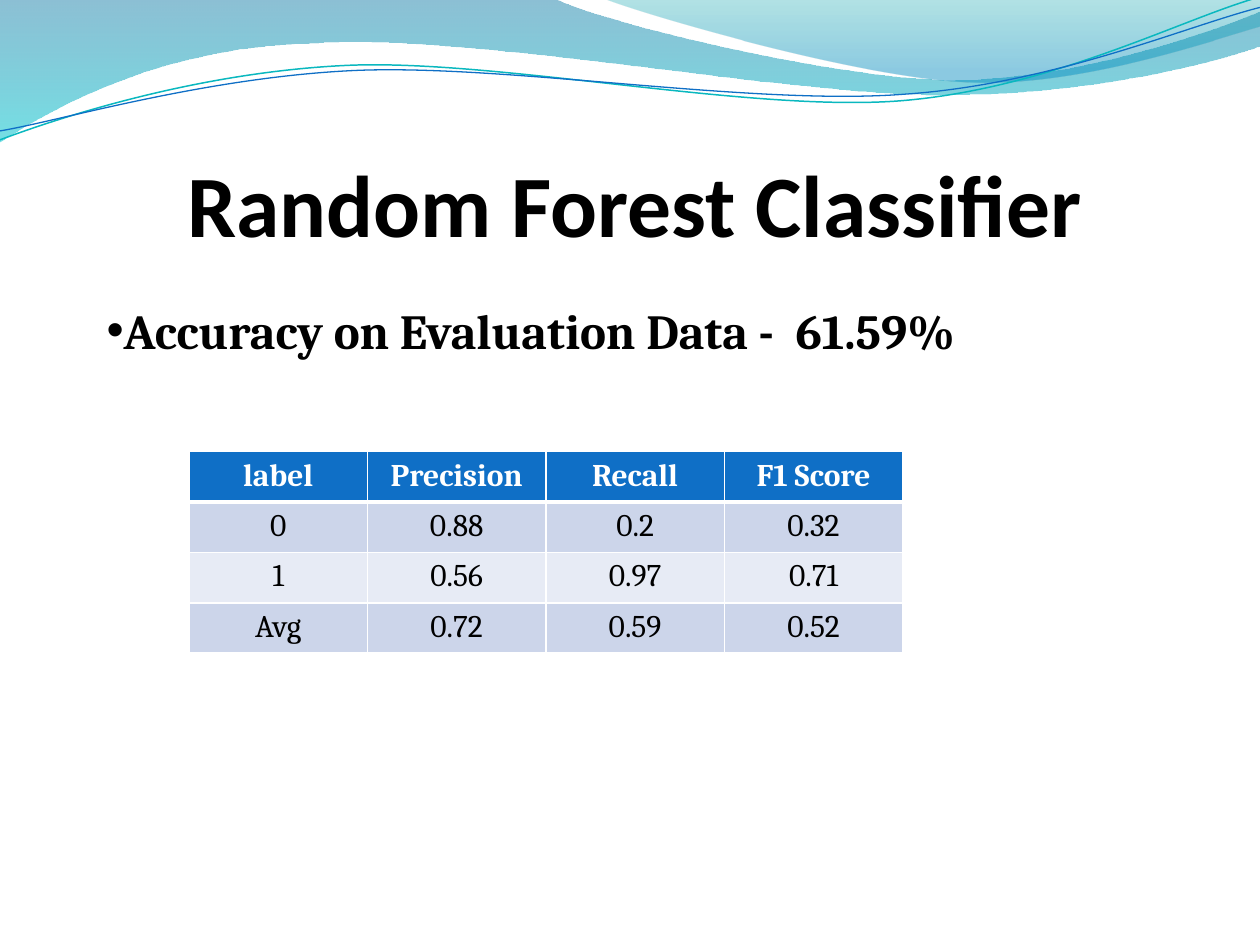
from itertools import chain, islice

from lxml.etree import Element, SubElement
from pptx import Presentation
from pptx.dml.color import RGBColor
from pptx.enum.text import MSO_ANCHOR, MSO_AUTO_SIZE, PP_ALIGN
from pptx.oxml import parse_xml
from pptx.oxml.ns import nsdecls, qn
from pptx.util import Cm, Pt

WHITE = RGBColor(0xFF, 0xFF, 0xFF)
BLACK = RGBColor(0x00, 0x00, 0x00)
BLUE = RGBColor(0x0F, 0x6F, 0xC6)
TEAL = RGBColor(0x0A, 0xB8, 0xBF)
DEEP_BLUE = RGBColor(0x00, 0x74, 0xA1)
CYAN = RGBColor(0x00, 0xC6, 0xCF)
SEA_GREEN = RGBColor(0x00, 0xA1, 0xA9)
SKY_BLUE = RGBColor(0x00, 0x8B, 0xBF)
DARK_BAND = RGBColor(0xCC, 0xD5, 0xEA)
LIGHT_BAND = RGBColor(0xE7, 0xEB, 0xF5)

CURVE_ROTATION = 357.3
WIDE_WAVE = [
    [(0, 0)], [(11.18, -0.03)],
    [(12.09, 0.43), (16.87, 1.6), (19.25, 1.6)],
    [(21.67, 1.6), (24.33, 0.66), (25.4, 0.23)],
    [(25.43, 0.91)],
    [(24.97, 1.12), (22.1, 1.93), (18.95, 1.91)],
    [(15.8, 1.91), (9.7, 0.71), (6.53, 0.86)],
    [(3.28, 0.91), (1.17, 2.11), (-0.03, 2.87)],
    [(0, 0)],
]
RIGHT_WAVE = [
    [(12.17, -0.03)],
    [(12.93, 0.28), (17.32, 1.57), (19.53, 1.65)],
    [(21.74, 1.75), (24.41, 0.81), (25.4, 0.53)],
    [(25.4, 0)], [(12.17, -0.03)],
]
TEAL_CURVE = [
    [(-0.05, 2.22)],
    [(1.19, 1.82), (4.02, 1.04), (7.05, 1.05)],
    [(10.05, 1.07), (15.02, 2.37), (18.08, 2.29)],
    [(21.13, 2.2), (23.86, 0.91), (25.41, 0.55)],
]
BLUE_CURVE = [
    [(-0.04, 2.04)],
    [(1.16, 1.9), (4.17, 1.15), (7.2, 1.16)],
    [(10.25, 1.18), (15.13, 2.25), (18.19, 2.16)],
    [(21.21, 2.1), (23.93, 1.06), (25.45, 0.75)],
]
SCORES = [
    ["label", "Precision", "Recall", "F1 Score"],
    ["0", "0.88", "0.2", "0.32"],
    ["1", "0.56", "0.97", "0.71"],
    ["Avg", "0.72", "0.59", "0.52"],
]


def add_outline(page, left, top, segments, close):
    """Add a freeform of straight and cubic segments, in centimetres from left and top."""
    points = [(left + Cm(x), top + Cm(y)) for x, y in chain(*segments)]
    builder = page.shapes.build_freeform(*points[0])
    builder.add_line_segments(points[1:], close=close)
    shape = builder.convert_to_shape()
    shape.shadow.inherit = False
    steps = iter(list(shape._element.iter(qn("a:lnTo"))))
    for segment in segments[1:]:
        group = list(islice(steps, len(segment)))
        if len(group) == 3:
            curve = Element(qn("a:cubicBezTo"))
            group[0].addprevious(curve)
            for step in group:
                curve.append(step[0])
                step.getparent().remove(step)
    return shape


def add_waves(page, left, top):
    """Place the translucent waves and the two thin curves."""
    bands = [
        (WIDE_WAVE, [(0, DEEP_BLUE, 45), (1, CYAN, 55)]),
        (RIGHT_WAVE, [(0, SEA_GREEN, 30), (0.8, SKY_BLUE, 45)]),
    ]
    for segments, shades in bands:
        wave = add_outline(page, left, top, segments, True)
        wave.line.fill.background()
        wave.fill.gradient()
        wave.fill.gradient_angle = 270
        for stop, (position, color, opacity) in zip(wave.fill.gradient_stops, shades):
            stop.position = position
            stop.color.rgb = color
        for node, shade in zip(wave._element.spPr.iter(qn("a:srgbClr")), shades):
            SubElement(node, qn("a:alpha"), val=str(shade[2] * 1000))
    for segments, color, width in ((TEAL_CURVE, TEAL, 0.85), (BLUE_CURVE, BLUE, 0.75)):
        curve = add_outline(page, left, top, segments, False)
        curve.rotation = CURVE_ROTATION
        curve.fill.background()
        curve.line.color.rgb = color
        curve.line.width = Pt(width)


def style_paragraph(para, font_name, size, color, bold):
    """Set the font of a whole paragraph."""
    para.font.name = font_name
    para.font.size = Pt(size)
    para.font.color.rgb = color
    para.font.bold = bold


def add_title(page, left, top, width, height):
    """Place the centred heading at the bottom of its box."""
    box = page.shapes.add_textbox(left, top, width, height)
    frame = box.text_frame
    frame.word_wrap = True
    frame.vertical_anchor = MSO_ANCHOR.BOTTOM
    frame.margin_left = frame.margin_right = frame.margin_bottom = 0
    para = frame.paragraphs[0]
    para.text = "Random Forest Classifier"
    para.alignment = PP_ALIGN.CENTER
    style_paragraph(para, "Calibri", 50, BLACK, True)


def add_accuracy(page, left, top, width, height):
    """Place the bulleted accuracy statement."""
    box = page.shapes.add_textbox(left, top, width, height)
    box.text_frame.word_wrap = True
    box.text_frame.auto_size = MSO_AUTO_SIZE.SHAPE_TO_FIT_TEXT
    para = box.text_frame.paragraphs[0]
    para.text = "Accuracy on Evaluation Data -  61.59%"
    style_paragraph(para, "Cambria", 28, BLACK, True)
    properties = para._p.get_or_add_pPr()
    properties.insert(0, parse_xml(f'<a:buFont {nsdecls("a")} typeface="Arial"/>'))
    properties.insert(1, parse_xml(f'<a:buChar {nsdecls("a")} char="•"/>'))


def add_borders(cell, top_width, bottom_width):
    """Draw white borders around a cell."""
    properties = cell._tc.get_or_add_tcPr()
    for side, width in (("L", 1), ("R", 1), ("T", top_width), ("B", bottom_width)):
        properties.append(parse_xml(
            f'<a:ln{side} {nsdecls("a")} w="{Pt(width)}"><a:solidFill>'
            f'<a:srgbClr val="{WHITE}"/></a:solidFill></a:ln{side}>'))


def add_scores(page, left, top, width, height):
    """Place the table of scores by label."""
    holder = page.shapes.add_table(
        len(SCORES), len(SCORES[0]), left, top, width, height)
    table = holder.table
    for row, values in enumerate(SCORES):
        header = row == 0
        fill = BLUE if header else DARK_BAND if row % 2 else LIGHT_BAND
        table.rows[row].height = Cm(0.83)
        for column, value in enumerate(values):
            cell = table.cell(row, column)
            add_borders(cell, 3 if row == 1 else 1, 3 if header else 1)
            cell.fill.solid()
            cell.fill.fore_color.rgb = fill
            para = cell.text_frame.paragraphs[0]
            para.text = value
            para.alignment = PP_ALIGN.CENTER
            style_paragraph(para, "Cambria", 18, WHITE if header else BLACK, header)
    holder.height = height


def main():
    """Build the classifier results slide."""
    deck = Presentation()
    deck.slide_width, deck.slide_height = Cm(25.4), Cm(19.05)
    page = deck.slides.add_slide(deck.slide_layouts[6])
    add_waves(page, Cm(0), Cm(0))
    add_title(page, Cm(1.27), Cm(1.97), Cm(23.06), Cm(3.18))
    add_scores(page, Cm(3.81), Cm(9.1), Cm(14.39), Cm(4.06))
    add_accuracy(page, Cm(1.9), Cm(5.93), Cm(19.9), Cm(1.45))
    deck.save("out.pptx")


if __name__ == "__main__":
    main()
